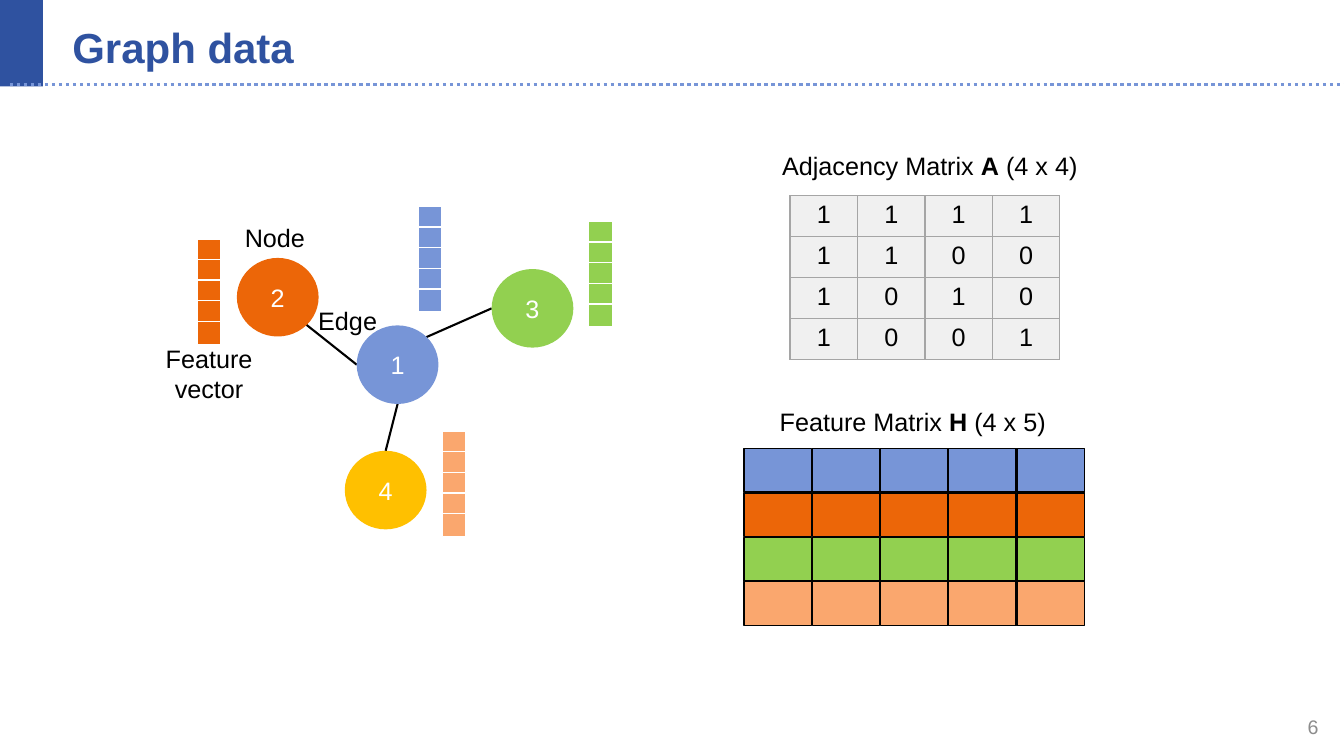
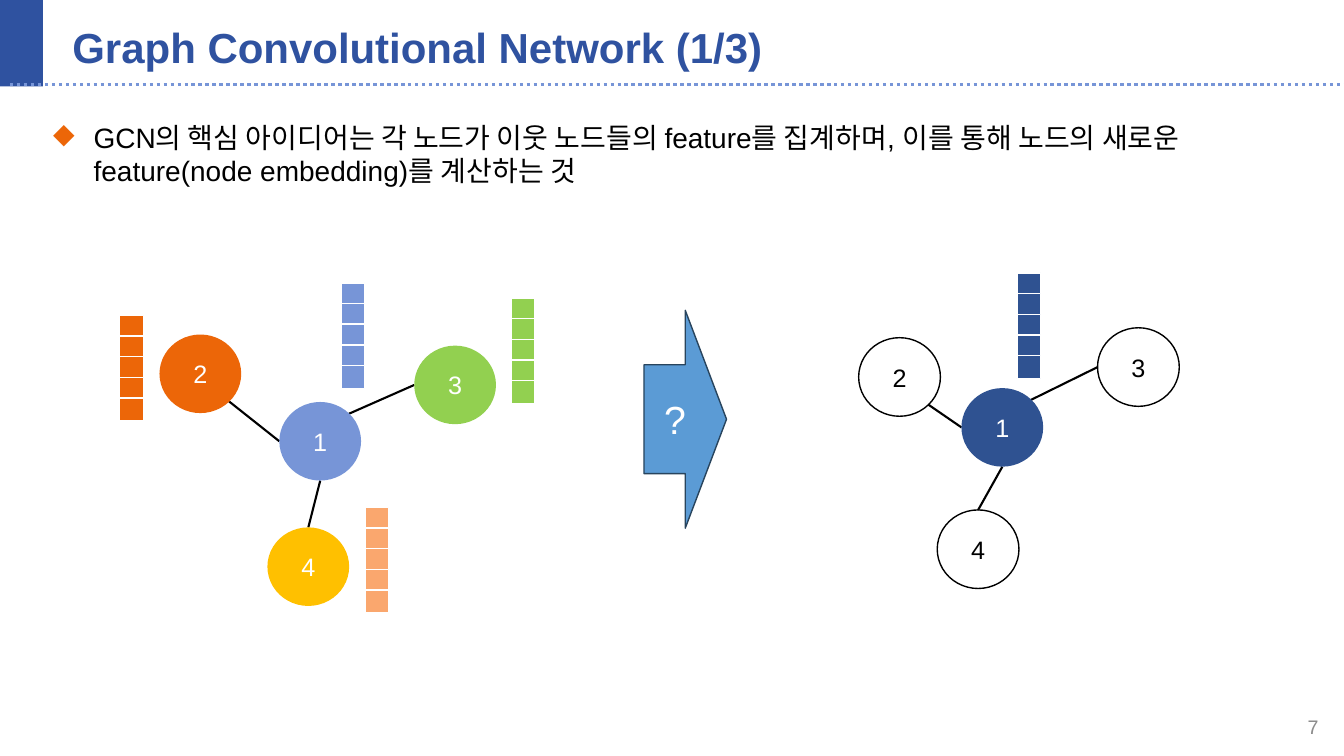
from lxml.etree import SubElement
from pptx import Presentation
from pptx.dml.color import RGBColor
from pptx.enum.dml import MSO_LINE
from pptx.enum.shapes import MSO_CONNECTOR, MSO_SHAPE as SHAPE
from pptx.enum.text import MSO_ANCHOR as ANCHOR, MSO_AUTO_SIZE, PP_ALIGN as ALIGN
from pptx.oxml.ns import qn
from pptx.util import Cm, Pt

# Shared look
FONT = "Arial"
BLACK, WHITE, GRAY = "000000", "FFFFFF", "8C8C8C"
NAVY, DEEP, BLUE, SKY = "2F52A0", "2F5291", "7795D7", "5B9BD5"
ORANGE, GREEN, YELLOW, PEACH = "EC6608", "92D050", "FFC000", "FAA76E"

# Content of slide 6
ADJACENCY = ["1111", "1100", "1010", "1001"]
FEATURES = [BLUE, ORANGE, GREEN, PEACH]
CAPTIONS = [  # left, top, width, paragraphs made of (text, bold) runs
    (19.46, 3.66, 8.5, [[("Adjacency Matrix ", False), ("A", True), (" (4 x 4)", False)]]),
    (19.4, 10.11, 8.5, [[("Feature Matrix ", False), ("H", True), (" (4 x 5)", False)]]),
    (5.92, 5.49, 2.31, [[("Node", False)]]),
    (7.77, 7.57, 2.31, [[("Edge", False)]]),
]
VECTOR_LABEL = (3.81, 8.53, 2.92, [[("Feature", False)], [("vector", False)]])

# Content of slide 7
IDEA = ("GCN의 핵심 아이디어는 각 노드가 이웃 노드들의 feature를 집계하며, "
        "이를 통해 노드의 새로운 feature(node embedding)를 계산하는 것")

# Graphs: node and vector places are offsets from node 1
NODE_W, NODE_H = 2.06, 1.98
CELL_W, CELL_H, CELL_STEP, CELLS = 0.6, 0.58, 0.52, 5
LEFT, TOP, BOTTOM = (0, 0.5), (0.5, 0), (0.5, 1)
TOP_RIGHT, BOTTOM_RIGHT = (0.85, 0.15), (0.85, 0.85)
EDGES = [(TOP_RIGHT, 3, LEFT), (LEFT, 2, BOTTOM_RIGHT), (BOTTOM, 4, TOP)]

INPUT = {
    "nodes": {1: (0, 0), 2: (-3.02, -1.7), 3: (3.4, -1.42), 4: (-0.3, 3.16)},
    "fills": {1: BLUE, 2: ORANGE, 3: GREEN, 4: YELLOW},
    "vectors": [(1.55, -3, BLUE), (-4.02, -2.18, ORANGE),
                (5.84, -2.62, GREEN), (2.16, 2.66, PEACH)],
}
OUTPUT = {
    "nodes": {1: (0, 0), 2: (-2.59, -1.27), 3: (3.43, -1.52), 4: (-0.61, 3.07)},
    "fills": {1: DEEP},
    "vectors": [(1.4, -2.9, DEEP)],
}


def rgb(value):
    """Turn a hex string into a colour."""
    return RGBColor.from_string(value)


def write(tf, paras, size, color=BLACK, align=ALIGN.LEFT, bold=None):
    """Fill a text frame with paragraphs, each a string or (text, bold) runs."""
    tf.word_wrap = True
    for i, para in enumerate(paras):
        p = tf.add_paragraph() if i else tf.paragraphs[0]
        p.alignment = align
        p.font.name, p.font.size, p.font.bold = FONT, Pt(size), bold
        p.font.color.rgb = rgb(color)
        for text, strong in [(para, None)] if isinstance(para, str) else para:
            r = p.add_run()
            r.text = text
            if strong:
                r.font.bold = True


def add_text(s, left, top, width, paras, size=18, height=1.02, **style):
    """Add a text box and return its text frame."""
    tf = s.shapes.add_textbox(Cm(left), Cm(top), Cm(width), Cm(height)).text_frame
    write(tf, paras, size, **style)
    return tf


def add_box(s, kind, left, top, width, height, fill=None, line=None):
    """Add a preset shape with a flat fill and a one-point line, or none."""
    sp = s.shapes.add_shape(kind, Cm(left), Cm(top), Cm(width), Cm(height))
    sp.shadow.inherit = False
    if fill:
        sp.fill.solid()
        sp.fill.fore_color.rgb = rgb(fill)
    else:
        sp.fill.background()
    if line:
        sp.line.color.rgb = rgb(line)
        sp.line.width = Pt(1)
    else:
        sp.line.fill.background()
    return sp


def add_label(sp, text, size, color):
    """Centre a label in a shape."""
    tf = sp.text_frame
    tf.vertical_anchor = ANCHOR.MIDDLE
    write(tf, [text], size, color, ALIGN.CENTER)


def add_line(s, start, end, color=BLACK, width=1.5):
    """Add a straight line without a shadow."""
    cx = s.shapes.add_connector(MSO_CONNECTOR.STRAIGHT, *map(Cm, start + end))
    cx.line.color.rgb = rgb(color)
    cx.line.width = Pt(width)
    SubElement(cx.element.spPr, qn("a:effectLst"))
    return cx


def add_graph(s, x, y, graph):
    """Draw edges, nodes and feature vectors around node 1 at (x, y)."""
    nodes = graph["nodes"]

    def site(n, spot):
        """Give a point on the rim of a node."""
        dx, dy = nodes[n]
        return x + dx + spot[0] * NODE_W, y + dy + spot[1] * NODE_H

    for near, n, far in EDGES:
        add_line(s, site(1, near), site(n, far))
    for n, (dx, dy) in nodes.items():
        fill = graph["fills"].get(n)
        node = add_box(s, SHAPE.OVAL, x + dx, y + dy, NODE_W, NODE_H,
                       fill, None if fill else BLACK)
        add_label(node, str(n), 18, WHITE if fill else BLACK)
    for dx, dy, color in graph["vectors"]:
        for i in range(CELLS):
            add_box(s, SHAPE.RECTANGLE, x + dx, y + dy + i * CELL_STEP,
                    CELL_W, CELL_H, color, WHITE)


def add_borders(cell, color):
    """Put a one-point line on all four sides of a cell."""
    tcPr = cell._tc.get_or_add_tcPr()
    for i, side in enumerate(("lnL", "lnR", "lnT", "lnB")):
        ln = tcPr.makeelement(qn("a:" + side), {"w": str(Pt(1))})
        fill = SubElement(ln, qn("a:solidFill"))
        SubElement(fill, qn("a:srgbClr"), val=color)
        tcPr.insert(i, ln)


def add_adjacency(s, left, top, width, height):
    """Draw the adjacency matrix as a table."""
    n = len(ADJACENCY)
    table = s.shapes.add_table(n, n, Cm(left), Cm(top), Cm(width), Cm(height)).table
    table.first_row = table.horz_banding = False
    for i, row in enumerate(ADJACENCY):
        for j, value in enumerate(row):
            cell = table.cell(i, j)
            cell.fill.solid()
            cell.fill.fore_color.rgb = rgb("F0F0F0")
            cell.margin_left = cell.margin_right = Cm(0.38)
            cell.margin_top = cell.margin_bottom = Cm(0.13)
            write(cell.text_frame, [value], 18, align=ALIGN.CENTER)
            add_borders(cell, "A5A5A5")


def add_features(s, left, top):
    """Draw the feature matrix, one coloured row per node."""
    for i, color in enumerate(FEATURES):
        for j in range(CELLS):
            add_box(s, SHAPE.RECTANGLE, left + j * 1.72, top + i * 1.12,
                    1.7, 1.1, color, BLACK)


def add_bullet(p):
    """Give a paragraph a hanging orange diamond."""
    pPr = p._p.get_or_add_pPr()
    pPr.set("marL", str(Cm(1.02)))
    pPr.set("indent", str(Cm(-1.02)))
    color = pPr.makeelement(qn("a:buClr"), {})
    SubElement(color, qn("a:srgbClr"), val=ORANGE)
    char = pPr.makeelement(qn("a:buChar"), {"char": "◆"})
    defaults = pPr.find(qn("a:defRPr"))
    defaults.addprevious(color)
    defaults.addprevious(char)


def add_band(s, layout):
    """Draw the title band and move it from the slide to its layout."""
    bar = add_box(s, SHAPE.RECTANGLE, 0, 0, 1.08, 2.18, NAVY)
    rule = add_line(s, (0.25, 2.13), (33.87, 2.13), BLUE, 2.5)
    rule.line.dash_style = MSO_LINE.ROUND_DOT
    for i, part in enumerate((bar, rule)):
        layout.shapes.element.insert(2 + i, part.element)


def add_slide(prs, layout, title, number):
    """Add a slide with its title and page number."""
    s = prs.slides.add_slide(layout)
    sp = s.shapes.title
    sp.left, sp.top, sp.width, sp.height = Cm(1.57), Cm(0.51), Cm(29.21), Cm(1.35)
    tf = sp.text_frame
    tf.auto_size = MSO_AUTO_SIZE.NONE
    tf.vertical_anchor = ANCHOR.MIDDLE
    write(tf, [title], 30, NAVY, bold=True)
    page = add_text(s, 25.86, 17.81, 7.62, [str(number)], 14,
                    color=GRAY, align=ALIGN.RIGHT)
    page.vertical_anchor = ANCHOR.MIDDLE
    return s


def graph_data(prs, layout):
    """Build the slide on graph data."""
    s = add_slide(prs, layout, "Graph data", 6)
    add_band(s, layout)
    add_graph(s, 8.99, 8.2, INPUT)
    add_adjacency(s, 19.91, 4.93, 6.8, 4.12)
    add_features(s, 18.75, 11.3)
    for caption in CAPTIONS:
        add_text(s, *caption)
    add_text(s, *VECTOR_LABEL, height=1.8, align=ALIGN.CENTER)


def graph_convolution(prs, layout):
    """Build the slide on the graph convolutional network."""
    s = add_slide(prs, layout, "Graph Convolutional Network (1/3)", 7)
    idea = add_text(s, 1.09, 2.9, 31.7, [IDEA], 20, height=14.25)
    idea.paragraphs[0].space_before = Pt(18)
    add_bullet(idea.paragraphs[0])
    add_graph(s, 7.04, 10.13, INPUT)
    arrow = add_box(s, SHAPE.RIGHT_ARROW, 16.23, 7.82, 2.08, 5.49, SKY, "28445D")
    add_label(arrow, "?", 28, WHITE)
    add_graph(s, 24.23, 9.78, OUTPUT)


def main():
    """Build and save the presentation."""
    prs = Presentation()
    prs.slide_width, prs.slide_height = Cm(33.87), Cm(19.05)
    layout = prs.slide_layouts[5]
    graph_data(prs, layout)
    graph_convolution(prs, layout)
    prs.save("out.pptx")


main()
